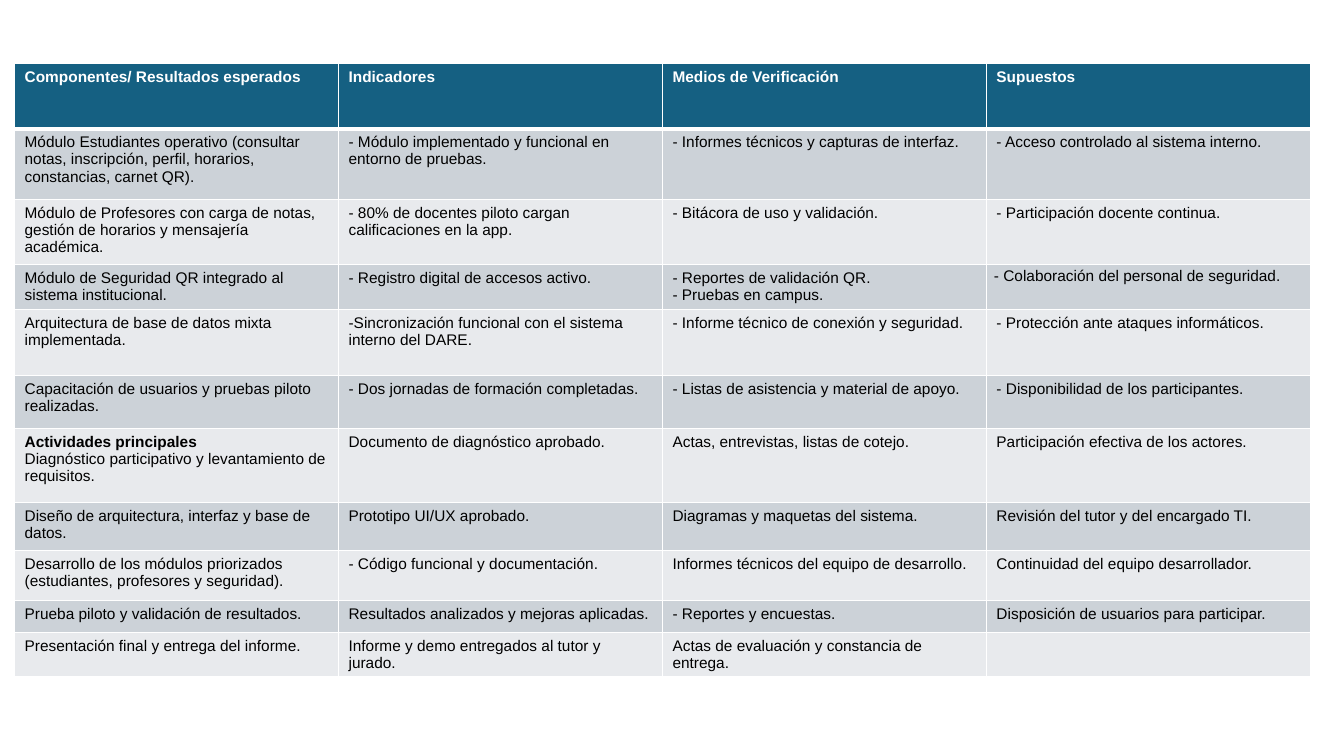
from lxml import etree
from pptx import Presentation
from pptx.dml.color import RGBColor
from pptx.oxml import ns
from pptx.util import Pt


def color(hex_code):
    return RGBColor.from_string(hex_code)


def add_border(cell, side, width):
    properties = cell._tc.get_or_add_tcPr()
    line = etree.SubElement(properties, ns.qn(f"a:ln{side}"), w=str(Pt(width)))
    fill = etree.SubElement(line, ns.qn("a:solidFill"))
    etree.SubElement(fill, ns.qn("a:srgbClr"), val="FFFFFF")


ROWS = [
    (46.5, ["Componentes/ Resultados esperados", "Indicadores", "Medios de Verificación", "Supuestos"]),
    (50.5, ["Módulo Estudiantes operativo (consultar notas, inscripción, perfil, horarios, constancias, carnet QR).",
            "- Módulo implementado y funcional en entorno de pruebas.",
            "- Informes técnicos y capturas de interfaz.",
            "- Acceso controlado al sistema interno."]),
    (46.5, ["Módulo de Profesores con carga de notas, gestión de horarios y mensajería académica.",
            "- 80% de docentes piloto cargan calificaciones en la app.",
            "- Bitácora de uso y validación.",
            "- Participación docente continua."]),
    (32, ["Módulo de Seguridad QR integrado al sistema institucional.",
          "- Registro digital de accesos activo.",
          "- Reportes de validación QR.\v- Pruebas en campus.",
          "- Colaboración del personal de seguridad."]),
    (47, ["Arquitectura de base de datos mixta implementada.",
          "-Sincronización funcional con el sistema interno del DARE.",
          "- Informe técnico de conexión y seguridad.",
          "- Protección ante ataques informáticos."]),
    (38, ["Capacitación de usuarios y pruebas piloto realizadas.",
          "- Dos jornadas de formación completadas.",
          "- Listas de asistencia y material de apoyo.",
          "- Disponibilidad de los participantes."]),
    (53, ["Actividades principales\nDiagnóstico participativo y levantamiento de requisitos.",
          "Documento de diagnóstico aprobado.",
          "Actas, entrevistas, listas de cotejo.",
          "Participación efectiva de los actores."]),
    (34.5, ["Diseño de arquitectura, interfaz y base de datos.",
            "Prototipo UI/UX aprobado.",
            "Diagramas y maquetas del sistema.",
            "Revisión del tutor y del encargado TI."]),
    (35.5, ["Desarrollo de los módulos priorizados (estudiantes, profesores y seguridad).",
            "- Código funcional y documentación.",
            "Informes técnicos del equipo de desarrollo.",
            "Continuidad del equipo desarrollador."]),
    (23, ["Prueba piloto y validación de resultados.",
          "Resultados analizados y mejoras aplicadas.",
          "- Reportes y encuestas.",
          "Disposición de usuarios para participar."]),
    (31.5, ["Presentación final y entrega del informe.",
            "Informe y demo entregados al tutor y jurado.",
            "Actas de evaluación y constancia de entrega.",
            ""]),
]
BOLD_TEXTS = ROWS[0][1] + ["Actividades principales"]

presentation = Presentation()
presentation.slide_width = Pt(960)
presentation.slide_height = Pt(540)
slide = presentation.slides.add_slide(presentation.slide_layouts[6])

total_height = sum(height for height, texts in ROWS)
table = slide.shapes.add_table(len(ROWS), 4, Pt(10.4), Pt(45.5), Pt(925.6), Pt(total_height)).table
for column in table.columns:
    column.width = Pt(231.4)

for row_index, (height, texts) in enumerate(ROWS):
    table.rows[row_index].height = Pt(height)
    is_header = row_index == 0
    row_fill = "156082" if is_header else ("E8EAED", "CCD2D8")[row_index % 2]
    top_width = 3 if row_index == 1 else 1
    bottom_width = 3 if is_header else 1
    for column_index, content in enumerate(texts):
        cell = table.cell(row_index, column_index)
        for side, width in (("L", 1), ("R", 1), ("T", top_width), ("B", bottom_width)):
            add_border(cell, side, width)
        cell.fill.solid()
        cell.fill.fore_color.rgb = color(row_fill)
        for paragraph_index, paragraph_text in enumerate(content.split("\n")):
            frame = cell.text_frame
            paragraph = frame.add_paragraph() if paragraph_index else frame.paragraphs[0]
            for line_index, line_text in enumerate(paragraph_text.split("\v")):
                if line_index:
                    paragraph.add_line_break()
                if line_text:
                    run = paragraph.add_run()
                    run.text = line_text
                    run.font.name = "Arial"
                    run.font.size = Pt(11)
                    run.font.bold = line_text in BOLD_TEXTS
                    run.font.color.rgb = color("FFFFFF" if is_header else "000000")

security_cell = table.cell(3, 3)
security_cell.margin_left = security_cell.margin_right = Pt(5.4)
security_cell.margin_top = security_cell.margin_bottom = Pt(0)
security_paragraph = security_cell.text_frame.paragraphs[0]
security_paragraph.line_spacing = 1.15
security_paragraph.space_after = Pt(8)

presentation.save("out.pptx")
